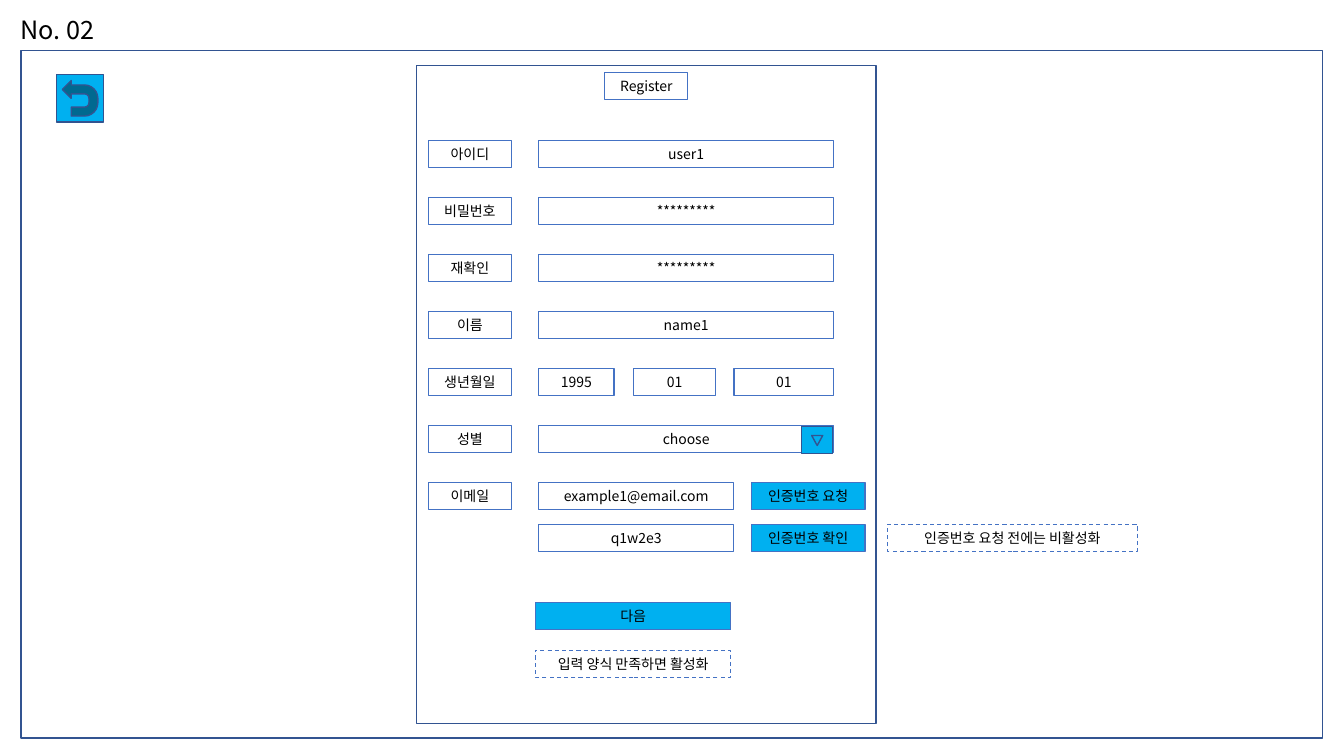
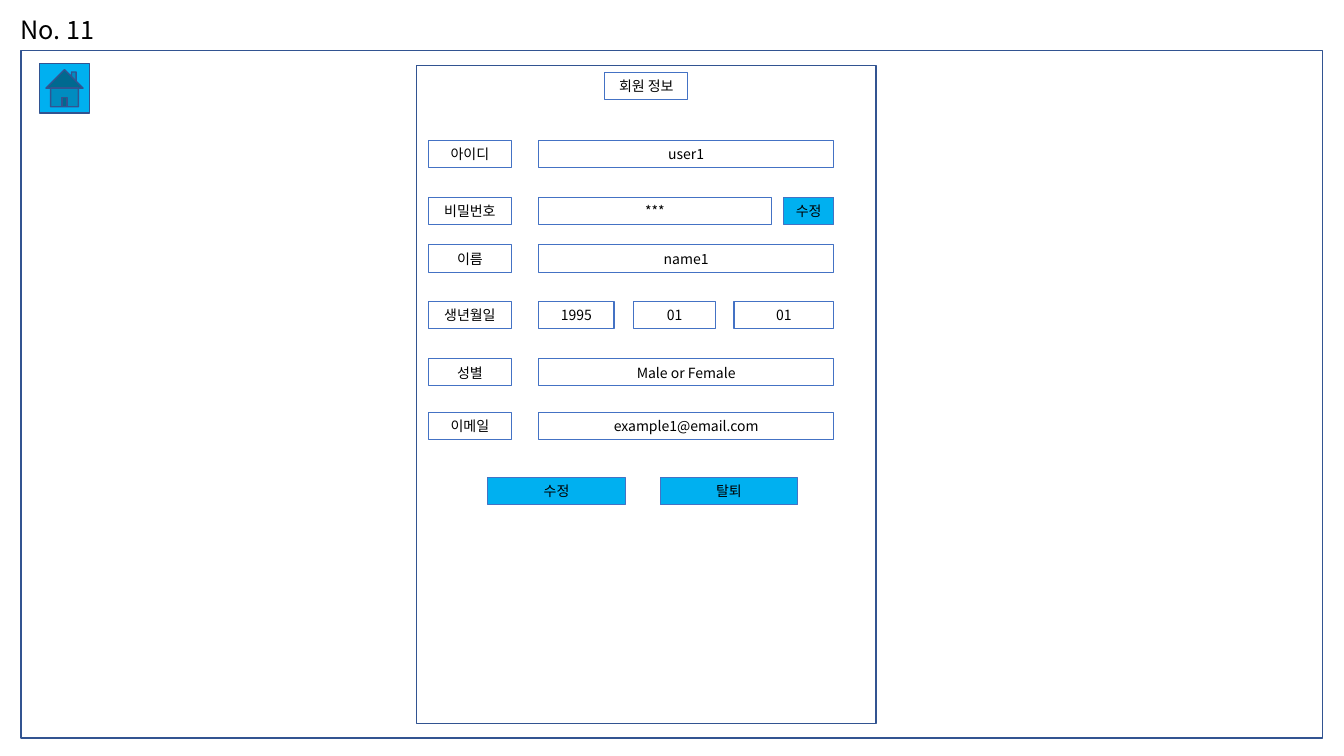
from lxml.etree import SubElement
from pptx import Presentation
from pptx.dml.color import RGBColor
from pptx.enum.dml import MSO_LINE as Dash
from pptx.enum.shapes import MSO_SHAPE as Kind
from pptx.enum.text import MSO_ANCHOR as Anchor, MSO_AUTO_SIZE as Fit, PP_ALIGN as Align
from pptx.oxml.ns import qn
from pptx.util import Inches, Pt

FONT = "Noto Sans CJK KR"
BLACK, CYAN, BLUE, NAVY = "000000", "00B0F0", "4472C4", "325491"
HIGH = 0.27
TAG_X, TAG_W = 4.25, 0.82
FIELD_X, FIELD_W = 5.34, 2.93
MAIL_W = 1.94
TOP, STEP = 1.39, 0.566


def color(code):
    """Turn a hex string into a colour."""
    return RGBColor.from_string(code)


def write(frame, text, size, align, anchor):
    """Put one styled run into a text frame."""
    frame.auto_size = Fit.NONE
    frame.word_wrap = True
    frame.vertical_anchor = anchor
    para = frame.paragraphs[0]
    para.alignment = align
    run = para.add_run()
    run.text = text
    run.font.size = Pt(size)
    run.font.color.rgb = color(BLACK)
    run.font.name = FONT
    SubElement(run.font._element, qn("a:ea"), typeface=FONT)


def shape(slide, kind, left, top, width, height, fill=None, line=NAVY, weight=1):
    """Draw a flat outlined shape."""
    item = slide.shapes.add_shape(
        kind, Inches(left), Inches(top), Inches(width), Inches(height))
    item.shadow.inherit = False
    if fill:
        item.fill.solid()
        item.fill.fore_color.rgb = color(fill)
    else:
        item.fill.background()
    item.line.color.rgb = color(line)
    item.line.width = Pt(weight)
    return item


def box(slide, text, left, top, width, fill=None):
    """Draw a one-line form box with centred text."""
    item = shape(slide, Kind.RECTANGLE, left, top, width, HIGH, fill, BLUE, 0.75)
    frame = item.text_frame
    frame.margin_top = frame.margin_bottom = 0
    write(frame, text, 10, Align.CENTER, Anchor.MIDDLE)
    return item


def button(slide, text, left, top, width):
    """Draw a filled button."""
    box(slide, text, left, top, width, CYAN)


def note(slide, text, left, top, width):
    """Draw a dashed remark."""
    box(slide, text, left, top, width).line.dash_style = Dash.DASH


def row(slide, top, label, value, width=FIELD_W):
    """Draw a label with its input field."""
    box(slide, label, TAG_X, top, TAG_W)
    box(slide, value, FIELD_X, top, width)


def birth(slide, top):
    """Draw the birth date row with its three fields."""
    row(slide, top, "생년월일", "1995", 0.75)
    box(slide, "01", 6.28, top, 0.82)
    box(slide, "01", 7.28, top, 0.99)


def screen(deck, number, heading):
    """Add a slide with its title, frame, panel and heading."""
    slide = deck.slides.add_slide(deck.slide_layouts[5])
    title = slide.shapes.title
    title.left, title.top = Inches(0.1), Inches(0.09)
    title.width, title.height = Inches(1.13), Inches(0.4)
    write(title.text_frame, number, 18, Align.LEFT, Anchor.TOP)
    shape(slide, Kind.RECTANGLE, 0.21, 0.5, 12.91, 6.82)
    shape(slide, Kind.RECTANGLE, 4.13, 0.65, 4.56, 6.53)
    box(slide, heading, 6, 0.72, TAG_W)
    return slide


def register(deck):
    """Build the sign-up screen."""
    slide = screen(deck, "No. 02", "Register")
    tops = [TOP + STEP * i for i in range(7)]
    texts = [("아이디", "user1"), ("비밀번호", "*********"),
             ("재확인", "*********"), ("이름", "name1")]
    for top, (label, value) in zip(tops, texts):
        row(slide, top, label, value)
    birth(slide, tops[4])
    row(slide, tops[5], "성별", "choose")
    shape(slide, Kind.RECTANGLE, 7.95, 4.23, 0.31, HIGH, CYAN)
    arrow = shape(slide, Kind.ISOSCELES_TRIANGLE, 8.05, 4.32, 0.11, 0.1)
    arrow.rotation = 180
    mail, check = tops[6], 5.2
    row(slide, mail, "이메일", "example1@email.com", MAIL_W)
    button(slide, "인증번호 요청", 7.45, mail, 1.13)
    box(slide, "q1w2e3", FIELD_X, check, MAIL_W)
    button(slide, "인증번호 확인", 7.45, check, 1.13)
    note(slide, "인증번호 요청 전에는 비활성화", 8.8, check, 2.48)
    button(slide, "다음", 5.31, 5.98, MAIL_W)
    note(slide, "입력 양식 만족하면 활성화", 5.31, 6.45, MAIL_W)
    back = shape(slide, Kind.ACTION_BUTTON_RETURN, 0.56, 0.74, 0.47, 0.47, CYAN)
    back.rotation = 270


def member(deck):
    """Build the member details screen."""
    slide = screen(deck, "No. 11", "회원 정보")
    pin = TOP + STEP
    row(slide, TOP, "아이디", "user1")
    row(slide, pin, "비밀번호", "***", 2.31)
    button(slide, "수정", 7.77, pin, 0.5)
    row(slide, 2.43, "이름", "name1")
    birth(slide, 2.99)
    row(slide, 3.56, "성별", "Male or Female")
    row(slide, 4.09, "이메일", "example1@email.com")
    for text, left in (("수정", 4.84), ("탈퇴", 6.55)):
        button(slide, text, left, 4.74, 1.36)
    shape(slide, Kind.ACTION_BUTTON_HOME, 0.39, 0.63, 0.5, 0.49, CYAN)


def main():
    """Build and save the deck."""
    deck = Presentation()
    deck.slide_width, deck.slide_height = Inches(13.33), Inches(7.5)
    register(deck)
    member(deck)
    deck.save("out.pptx")


if __name__ == "__main__":
    main()
